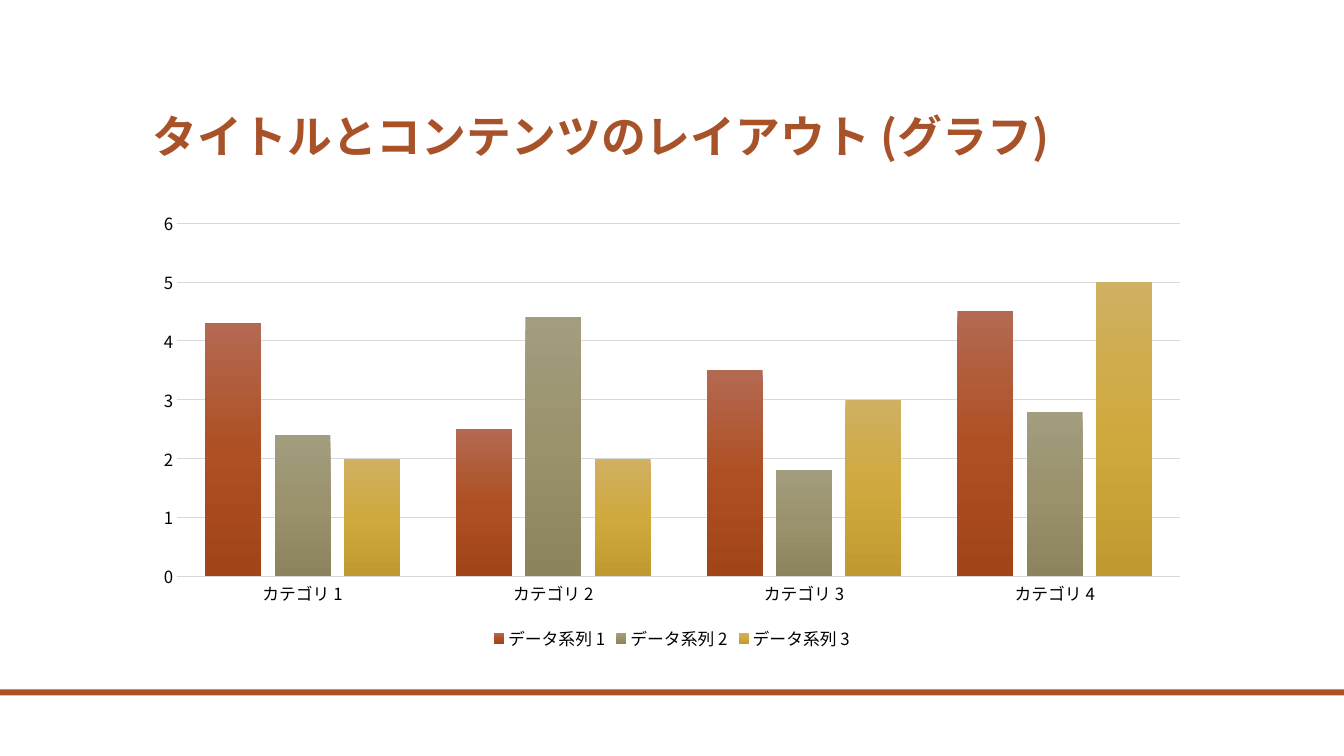
from copy import deepcopy
from dataclasses import dataclass

from pptx import Presentation
from pptx.chart.chart import Chart
from pptx.chart.data import CategoryChartData
from pptx.dml.color import RGBColor
from pptx.enum.chart import (XL_CHART_TYPE as ChartType, XL_LEGEND_POSITION as LegendPosition,
                             XL_TICK_MARK as TickMark)
from pptx.enum.shapes import MSO_SHAPE as Preset
from pptx.enum.text import MSO_ANCHOR as Anchor, MSO_AUTO_SIZE as AutoSize, PP_ALIGN as Align
from pptx.oxml.ns import qn
from pptx.oxml.xmlchemy import OxmlElement
from pptx.slide import Slide
from pptx.text.text import Font
from pptx.util import Inches, Pt

FONT_NAME = "Noto Sans CJK JP"
RUST = RGBColor(0xA8, 0x52, 0x29)
BLACK = RGBColor(0x00, 0x00, 0x00)
BROWN = RGBColor(0x51, 0x4A, 0x40)
GRID_GRAY = RGBColor(0xD9, 0xD9, 0xD9)

SLIDE_WIDTH, SLIDE_HEIGHT = Inches(13.33), Inches(7.5)
CONTENT_WIDTH = Inches(10.5)
CONTENT_LEFT = (SLIDE_WIDTH - CONTENT_WIDTH) // 2

CATEGORIES = [f"カテゴリ {number}" for number in range(1, 5)]


@dataclass(frozen=True)
class BarSeries:
    name: str
    values: tuple[float, ...]
    shades: tuple[RGBColor, ...]  # top, middle, bottom


BAR_SERIES = [
    BarSeries("データ系列 1", (4.3, 2.5, 3.5, 4.5),
              (RGBColor(0xB4, 0x69, 0x52), RGBColor(0xAE, 0x50, 0x23), RGBColor(0xA1, 0x45, 0x19))),
    BarSeries("データ系列 2", (2.4, 4.4, 1.8, 2.8),
              (RGBColor(0xA3, 0x9D, 0x7F), RGBColor(0x9A, 0x92, 0x6C), RGBColor(0x8B, 0x84, 0x5E))),
    BarSeries("データ系列 3", (2, 2, 3, 5),
              (RGBColor(0xD0, 0xB0, 0x62), RGBColor(0xD0, 0xA9, 0x3E), RGBColor(0xC0, 0x9A, 0x30))),
]


def style_font(font: Font, size: int, color: RGBColor, bold: bool = False) -> None:
    """Set the font for both Latin and East Asian text."""
    font.size, font.bold, font.name = Pt(size), bold, FONT_NAME
    font.color.rgb = color
    east_asian = OxmlElement("a:ea")
    east_asian.set("typeface", FONT_NAME)
    font._element.find(qn("a:latin")).addnext(east_asian)


def fill_title(slide: Slide, text: str) -> None:
    title = slide.shapes.title
    title.left, title.top = CONTENT_LEFT, Inches(0.42)
    title.width, title.height = CONTENT_WIDTH, Inches(1.25)
    frame = title.text_frame
    frame.word_wrap = True
    frame.auto_size = AutoSize.NONE
    frame.vertical_anchor = Anchor.BOTTOM
    para = frame.paragraphs[0]
    para.alignment = Align.LEFT
    para.line_spacing = 0.9
    span = para.add_run()
    span.text = text
    style_font(span.font, 32, RUST, bold=True)


def add_footer_band(slide: Slide) -> None:
    band = slide.shapes.add_shape(Preset.RECTANGLE, 0, Inches(6.84), SLIDE_WIDTH, Inches(0.06))
    band.shadow.inherit = False
    band.fill.solid()
    band.fill.fore_color.rgb = RUST
    band.line.fill.background()


def shade_bars(chart: Chart) -> None:
    """Give each series its vertical gradient of evenly spaced stops."""
    for series, design in zip(chart.plots[0].series, BAR_SERIES):
        series.invert_if_negative = False
        fill = series.format.fill
        fill.gradient()
        fill.gradient_angle = 270
        stop_list = series._element.find(f".//{qn('a:gsLst')}")
        stop_list.append(deepcopy(stop_list[0]))
        for index, (stop, shade) in enumerate(zip(fill.gradient_stops, design.shades)):
            stop.position = index / (len(design.shades) - 1)
            stop.color.rgb = shade
        series.format.line.fill.background()


def style_axes(chart: Chart) -> None:
    category_axis, value_axis = chart.category_axis, chart.value_axis
    for axis in (category_axis, value_axis):
        axis.major_tick_mark = axis.minor_tick_mark = TickMark.NONE
        style_font(axis.tick_labels.font, 12, BLACK)
    value_axis.minimum_scale, value_axis.maximum_scale, value_axis.major_unit = 0, 6, 1
    value_axis.format.line.fill.background()
    value_axis.has_major_gridlines = True
    for line in (category_axis.format.line, value_axis.major_gridlines.format.line):
        line.color.rgb = GRID_GRAY
        line.width = Pt(0.75)


def add_bar_chart(slide: Slide) -> None:
    data = CategoryChartData()
    data.categories = CATEGORIES
    for design in BAR_SERIES:
        data.add_series(design.name, design.values)
    chart = slide.shapes.add_chart(ChartType.COLUMN_CLUSTERED, CONTENT_LEFT, Inches(2),
                                   CONTENT_WIDTH, Inches(4.5), data).chart
    style_font(chart.font, 10, BROWN)
    chart.has_title = False
    plot = chart.plots[0]
    plot.gap_width, plot.overlap, plot.vary_by_categories = 100, -24, False
    shade_bars(chart)
    style_axes(chart)
    chart.has_legend = True
    chart.legend.position = LegendPosition.BOTTOM
    chart.legend.include_in_layout = False
    style_font(chart.legend.font, 12, BLACK)


def main() -> None:
    deck = Presentation()
    deck.slide_width, deck.slide_height = SLIDE_WIDTH, SLIDE_HEIGHT
    title_only = deck.slide_layouts[5]
    page = deck.slides.add_slide(title_only)
    add_footer_band(page)
    fill_title(page, "タイトルとコンテンツのレイアウト (グラフ)")
    add_bar_chart(page)
    deck.save("out.pptx")


if __name__ == "__main__":
    main()
